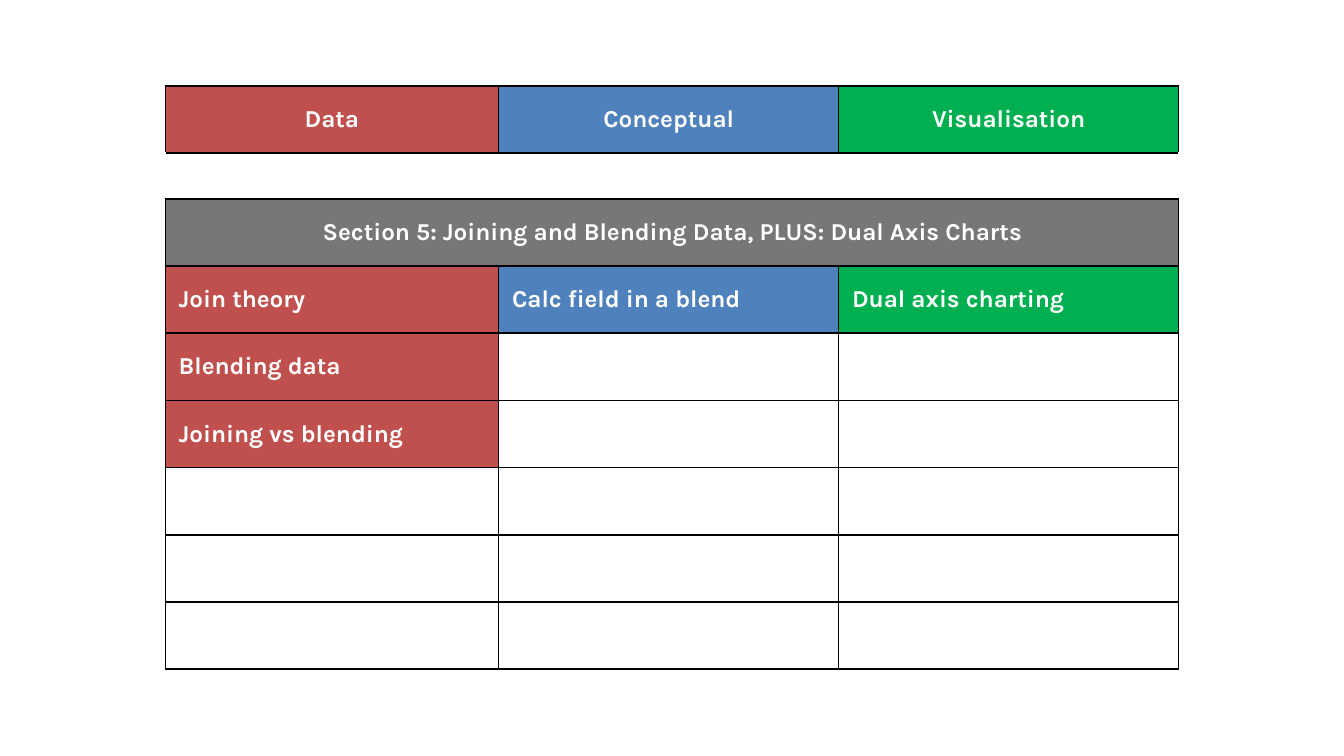
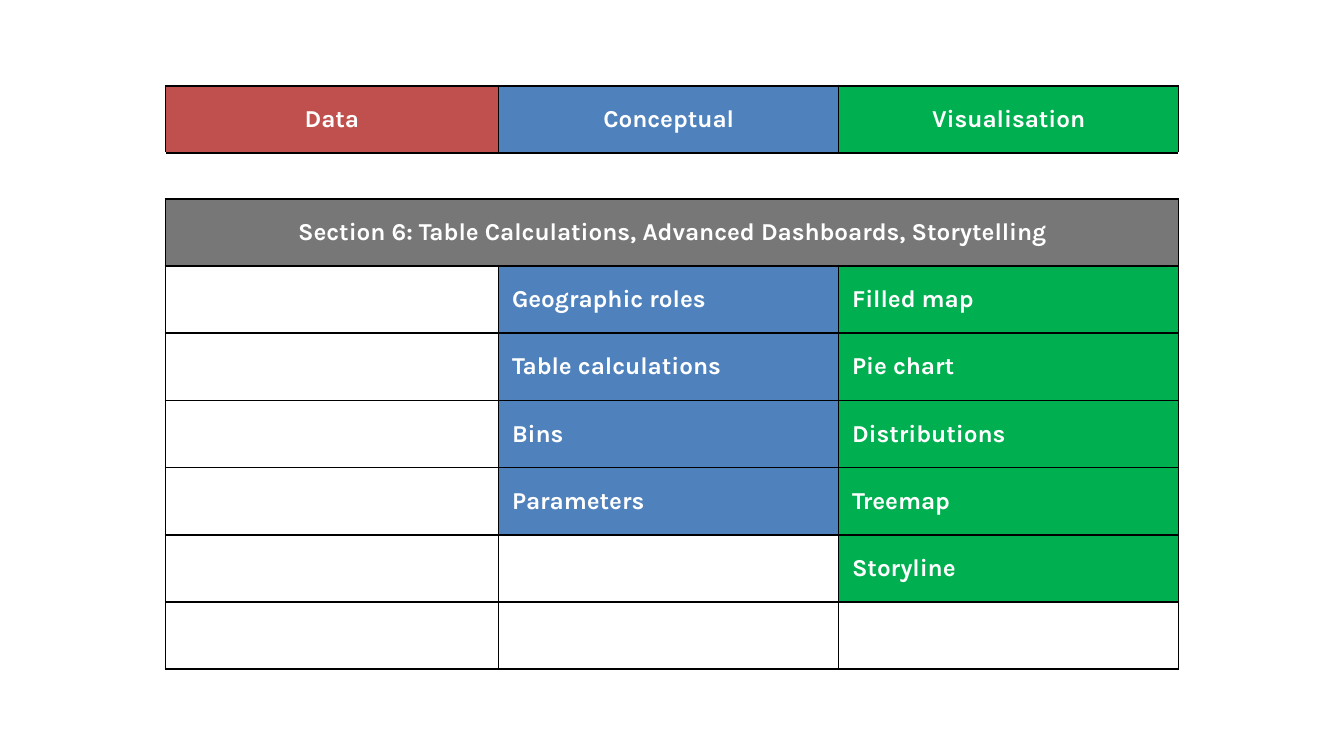
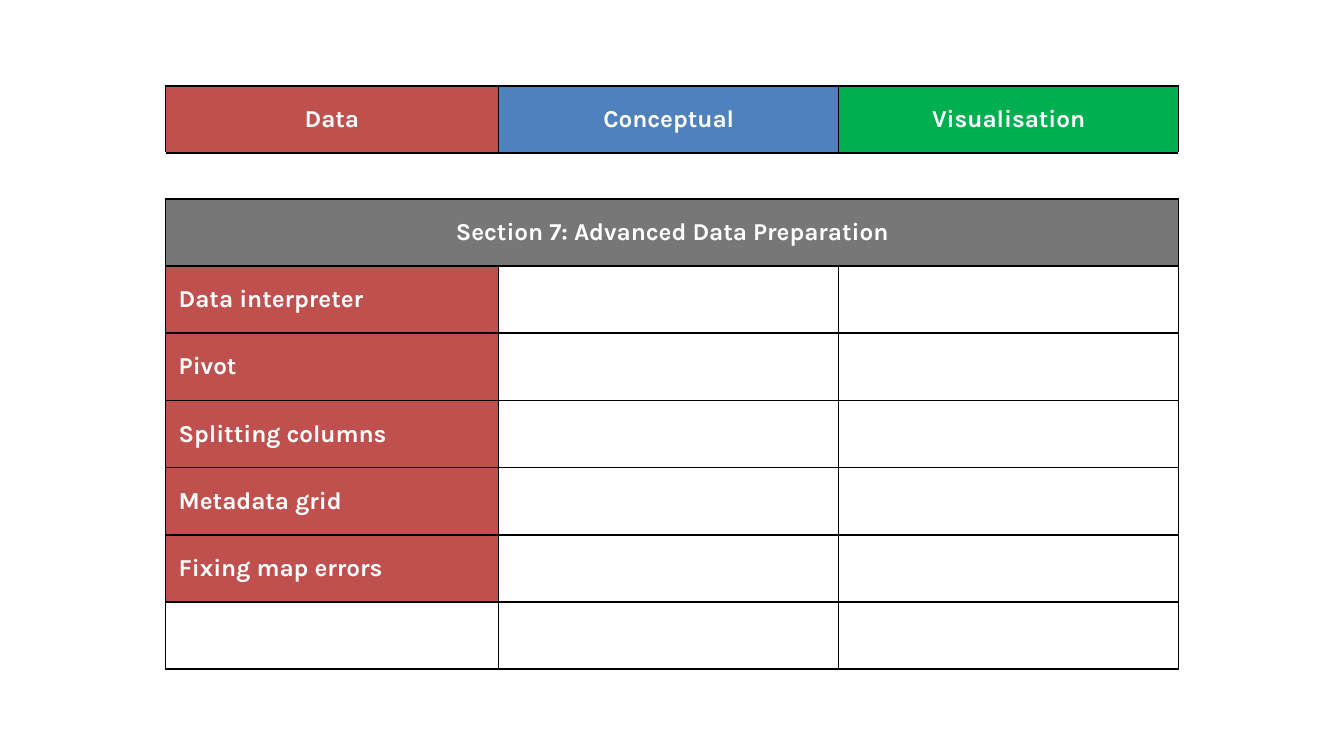
from lxml import etree
from pptx import Presentation
from pptx.dml.color import RGBColor
from pptx.enum.text import MSO_ANCHOR, PP_ALIGN
from pptx.oxml.ns import qn
from pptx.util import Inches, Pt

MIDDLE = MSO_ANCHOR.MIDDLE
CENTER = PP_ALIGN.CENTER
LEFT = PP_ALIGN.LEFT

RED, BLUE, GREEN = "C0504D", "4F81BD", "00B050"
GRAY, WHITE, BLACK = "777777", "FFFFFF", "000000"
FONT = "Karla"
FONT_SIZE = 13

CATEGORIES = [("Data", RED), ("Conceptual", BLUE), ("Visualisation", GREEN)]
SECTIONS = [
    (
        "Section 5: Joining and Blending Data, PLUS: Dual Axis Charts",
        [
            ["Join theory", "Blending data", "Joining vs blending"],
            ["Calc field in a blend"],
            ["Dual axis charting"],
        ],
    ),
    (
        "Section 6: Table Calculations, Advanced Dashboards, Storytelling",
        [
            [],
            ["Geographic roles", "Table calculations", "Bins", "Parameters"],
            ["Filled map", "Pie chart", "Distributions", "Treemap", "Storyline"],
        ],
    ),
    (
        "Section 7: Advanced Data Preparation",
        [
            ["Data interpreter", "Pivot", "Splitting columns", "Metadata grid", "Fixing map errors"],
            [],
            [],
        ],
    ),
]

SLIDE_WIDTH = Inches(10)
SLIDE_HEIGHT = SLIDE_WIDTH * 9 // 16
TABLE_LEFT, TABLE_TOP = 1.23, 0.64
COLUMN_WIDTHS = [2.48, 2.53, 2.53]
ROW_HEIGHT, SPACER_HEIGHT = 0.5, 0.34
TOPIC_ROWS = 6
CATEGORY_ROW, SPACER_ROW, SECTION_ROW, FIRST_TOPIC_ROW = range(4)
ROW_HEIGHTS = [ROW_HEIGHT, SPACER_HEIGHT] + [ROW_HEIGHT] * (TOPIC_ROWS + 1)


def color(hex_string):
    return RGBColor.from_string(hex_string)


def set_borders(cell, side_color):
    properties = cell._tc.get_or_add_tcPr()
    edges = [("L", side_color), ("R", side_color), ("T", BLACK), ("B", BLACK)]
    for index, (edge, line_color) in enumerate(edges):
        line = etree.Element(qn(f"a:ln{edge}"), w=str(Pt(1)))
        fill = etree.SubElement(line, qn("a:solidFill"))
        etree.SubElement(fill, qn("a:srgbClr"), val=line_color)
        properties.insert(index, line)


def style_cell(cell, fill_color, side_color=BLACK):
    set_borders(cell, side_color)
    cell.fill.solid()
    cell.fill.fore_color.rgb = color(fill_color)


def write_cell(cell, text, alignment):
    cell.vertical_anchor = MIDDLE
    paragraph = cell.text_frame.paragraphs[0]
    paragraph.alignment = alignment
    run = paragraph.add_run()
    run.text = text
    run.font.name = FONT
    run.font.size = Pt(FONT_SIZE)
    run.font.bold = True
    run.font.color.rgb = color(WHITE)


def set_header_margins(cell):
    cell.margin_left = cell.margin_right = Inches(0.08)
    cell.margin_top = cell.margin_bottom = Inches(0.04)


def add_section_slide(presentation, title, topics):
    slide = presentation.slides.add_slide(presentation.slide_layouts[6])
    table = slide.shapes.add_table(
        len(ROW_HEIGHTS), len(COLUMN_WIDTHS),
        Inches(TABLE_LEFT), Inches(TABLE_TOP),
        Inches(sum(COLUMN_WIDTHS)), Inches(sum(ROW_HEIGHTS)),
    ).table
    table.first_row = False
    table.horz_banding = False
    for column, width in zip(table.columns, COLUMN_WIDTHS):
        column.width = Inches(width)
    for row, height in zip(table.rows, ROW_HEIGHTS):
        row.height = Inches(height)

    last_column = len(COLUMN_WIDTHS) - 1
    for row in (SPACER_ROW, SECTION_ROW):
        table.cell(row, 0).merge(table.cell(row, last_column))

    for column, (category, category_color) in enumerate(CATEGORIES):
        header = table.cell(CATEGORY_ROW, column)
        style_cell(header, category_color)
        set_header_margins(header)
        write_cell(header, category, CENTER)
        style_cell(table.cell(SPACER_ROW, column), WHITE, WHITE)
        style_cell(table.cell(SECTION_ROW, column), GRAY)
        for index in range(TOPIC_ROWS):
            cell = table.cell(FIRST_TOPIC_ROW + index, column)
            if index < len(topics[column]):
                style_cell(cell, category_color)
                write_cell(cell, topics[column][index], LEFT)
            else:
                style_cell(cell, WHITE)

    spacer = table.cell(SPACER_ROW, 0)
    set_header_margins(spacer)
    spacer_paragraph = spacer.text_frame.paragraphs[0]
    etree.SubElement(spacer_paragraph._p, qn("a:endParaRPr"), sz=str(FONT_SIZE * 100))
    section = table.cell(SECTION_ROW, 0)
    set_header_margins(section)
    write_cell(section, title, CENTER)


presentation = Presentation()
presentation.slide_width = SLIDE_WIDTH
presentation.slide_height = SLIDE_HEIGHT
for title, topics in SECTIONS:
    add_section_slide(presentation, title, topics)
presentation.save("out.pptx")
